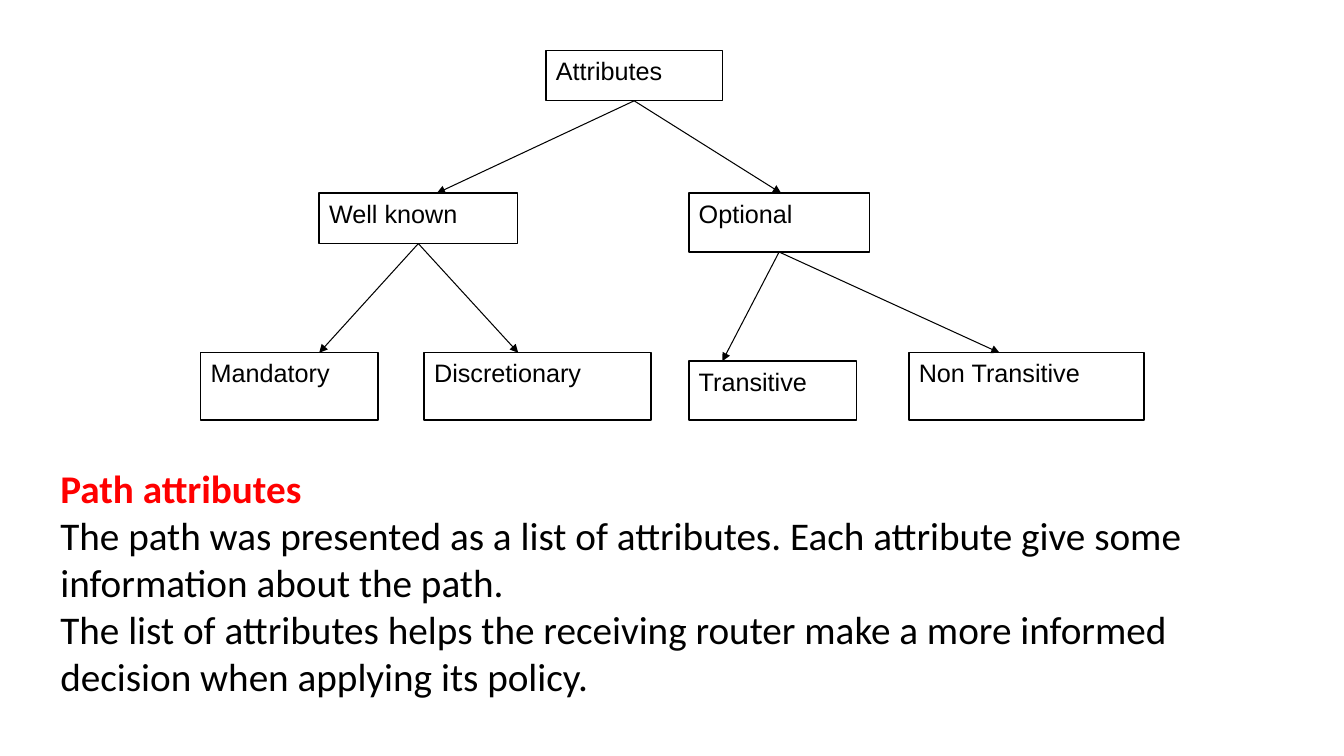
from pptx import Presentation
from pptx.dml.color import RGBColor
from pptx.enum.shapes import MSO_CONNECTOR, MSO_SHAPE
from pptx.enum.text import MSO_ANCHOR, MSO_AUTO_SIZE, PP_ALIGN
from pptx.oxml.ns import qn
from pptx.util import Inches, Pt
from lxml import etree

RECTANGLE, STRAIGHT = MSO_SHAPE.RECTANGLE, MSO_CONNECTOR.STRAIGHT
TOP, LEFT = MSO_ANCHOR.TOP, PP_ALIGN.LEFT
FIT_SHAPE = MSO_AUTO_SIZE.SHAPE_TO_FIT_TEXT
BLACK = RGBColor(0x00, 0x00, 0x00)
WHITE = RGBColor(0xFF, 0xFF, 0xFF)
RED = RGBColor(0xFF, 0x00, 0x00)

# The slide is a grid of 160 columns by 90 rows
CELL = Inches(1 / 12)

# Attribute: (left column, top row, columns, rows)
BOXES = {
    "Attributes": (65, 6, 21, 6),
    "Well known": (38, 23, 23.6, 6),
    "Optional": (82, 23, 21.5, 7),
    "Mandatory": (23.9, 42, 21.1, 8),
    "Discretionary": (50.5, 42, 27, 8),
    "Transitive": (82, 43, 20, 7),
    "Non Transitive": (108.2, 42, 28, 8),
}

# Parent, child, column where the arrow meets the child
BRANCHES = [
    ("Attributes", "Well known", 52),
    ("Attributes", "Optional", 93),
    ("Well known", "Mandatory", 38),
    ("Well known", "Discretionary", 61.7),
    ("Optional", "Transitive", 86),
    ("Optional", "Non Transitive", 119),
]

EXPLANATION_AREA = (6, 54.7, 146.8, 29.5)
EXPLANATION = [
    ("Path attributes", RED, True),
    ("The path was presented as a list of attributes. Each attribute give some "
     "information about the path.", BLACK, False),
    ("The list of attributes helps the receiving router make a more informed "
     "decision when applying its policy.", BLACK, False),
]


def on_grid(*cells):
    return [round(cell * CELL) for cell in cells]


def style_font(paragraph, name, size, color, bold=False):
    paragraph.alignment = LEFT
    font = paragraph.runs[0].font
    font.name, font.size, font.bold = name, Pt(size), bold
    font.color.rgb = color


def add_box(slide, label, area):
    shape = slide.shapes.add_shape(RECTANGLE, *on_grid(*area))
    shape.shadow.inherit = False
    shape.fill.solid()
    shape.fill.fore_color.rgb = WHITE
    shape.line.color.rgb = BLACK
    shape.line.width = Pt(1)
    text_frame = shape.text_frame
    text_frame.text = label
    text_frame.vertical_anchor = TOP
    style_font(text_frame.paragraphs[0], "Arial", 18, BLACK)


def add_branch(slide, parent, child, end_column):
    left, top, columns, rows = BOXES[parent]
    child_top = BOXES[child][1]
    ends = on_grid(left + columns / 2, top + rows, end_column, child_top)
    connector = slide.shapes.add_connector(STRAIGHT, *ends)
    connector.line.color.rgb = BLACK
    connector.line.width = Pt(0.75)
    line = connector.line._get_or_add_ln()
    etree.SubElement(line, qn("a:tailEnd"), type="triangle")
    etree.SubElement(connector._element.spPr, qn("a:effectLst"))


def add_explanation(slide):
    text_box = slide.shapes.add_textbox(*on_grid(*EXPLANATION_AREA))
    text_frame = text_box.text_frame
    text_frame.word_wrap = True
    text_frame.auto_size = FIT_SHAPE
    text_frame.text = "\n".join(text for text, _, _ in EXPLANATION)
    for paragraph, (_, color, bold) in zip(text_frame.paragraphs, EXPLANATION):
        style_font(paragraph, "Calibri", 28, color, bold)


def main():
    presentation = Presentation()
    presentation.slide_width, presentation.slide_height = on_grid(160, 90)
    slide = presentation.slides.add_slide(presentation.slide_layouts[6])

    # Attribute tree
    for label, area in BOXES.items():
        add_box(slide, label, area)
    for branch in BRANCHES:
        add_branch(slide, *branch)

    # Text below the tree
    add_explanation(slide)
    presentation.save("out.pptx")


if __name__ == "__main__":
    main()
